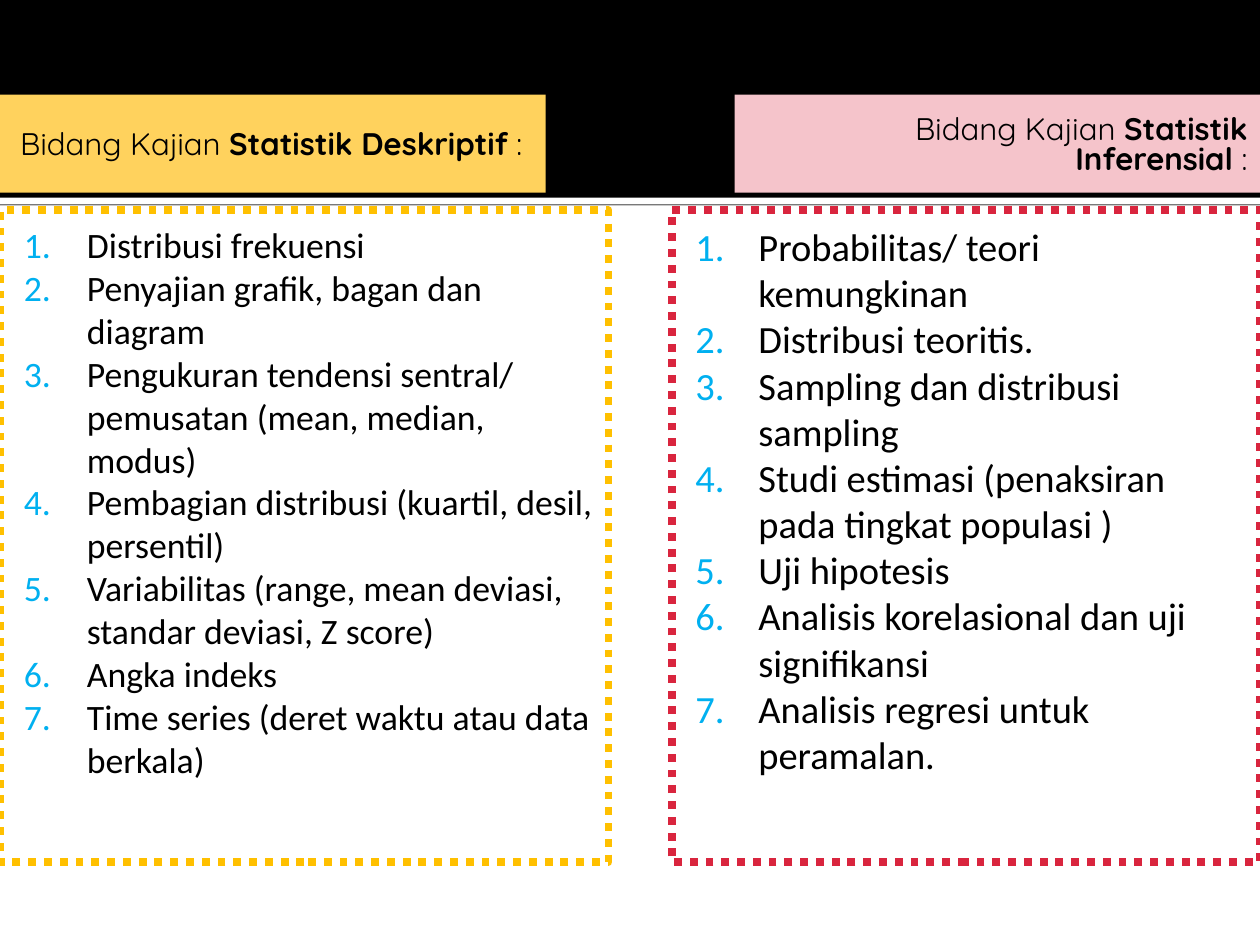
from pptx import Presentation
from pptx.dml.color import RGBColor
from pptx.enum.dml import MSO_LINE
from pptx.enum.shapes import MSO_SHAPE
from pptx.enum.text import MSO_ANCHOR, MSO_AUTO_SIZE, PP_ALIGN
from pptx.oxml import parse_xml
from pptx.oxml.ns import nsdecls
from pptx.util import Inches, Pt

# Content: one entry per column
COLUMNS = [
    {
        "heading": [("Bidang Kajian ", False), ("Statistik Deskriptif ", True), (":", False)],
        "items": [
            "Distribusi frekuensi",
            "Penyajian grafik, bagan dan diagram",
            "Pengukuran tendensi sentral/ pemusatan (mean, median, modus)",
            "Pembagian distribusi (kuartil, desil, persentil)",
            "Variabilitas (range, mean deviasi, standar deviasi, Z score)",
            "Angka indeks",
            "Time series (deret waktu atau data berkala)",
        ],
        "placeholders": (1, 2), "align": PP_ALIGN.LEFT,
        "heading_span": (0, 4.33), "list_span": (0, 4.83),
        "fill": "FFD25D", "border": "FFC000", "size": 20.4,
    },
    {
        "heading": [("Bidang Kajian ", False), ("Statistik Inferensial ", True), (":", False)],
        "items": [
            "Probabilitas/ teori kemungkinan",
            "Distribusi teoritis.",
            "Sampling dan distribusi sampling",
            "Studi estimasi (penaksiran pada tingkat populasi )",
            "Uji hipotesis",
            "Analisis korelasional dan uji signifikansi",
            "Analisis regresi untuk peramalan.",
        ],
        "placeholders": (3, 4), "align": PP_ALIGN.RIGHT,
        "heading_span": (5.83, 10), "list_span": (5.33, 10),
        "fill": "F5C4CB", "border": "D9253E", "size": 22,
    },
]
WIDTH, HEIGHT = 10, 7.5
BAND_HEIGHT, STRIP_HEIGHT = 1.57, 0.05
HEADING_ROW = (0.75, 0.78)
LIST_ROW = (1.67, 5.17)


def color(value):
    return RGBColor.from_string(value)


def place(shape, span, row):
    left, right = span
    shape.left, shape.width = Inches(left), Inches(right - left)
    shape.top, shape.height = map(Inches, row)


def set_frame(shape, left_inset, anchor):
    frame = shape.text_frame
    frame.word_wrap = True
    frame.auto_size = MSO_AUTO_SIZE.NONE
    frame.vertical_anchor = anchor
    frame.margin_left, frame.margin_top = Inches(left_inset), Inches(0.1)
    frame.margin_right, frame.margin_bottom = Inches(0.1), Inches(0.05)
    return frame


def add_run(paragraph, text, font, size, bold=False):
    run = paragraph.add_run()
    run.text = text
    run.font.name, run.font.size, run.font.bold = font, Pt(size), bold
    run.font.color.rgb = color("000000")


def number(paragraph):
    props = paragraph._p.get_or_add_pPr()
    props.set("marL", str(Inches(0.63)))
    props.set("indent", str(Inches(-0.5)))
    for xml in (f'<a:buClr {nsdecls("a")}><a:srgbClr val="00B0F0"/></a:buClr>',
                f'<a:buFont {nsdecls("a")} typeface="+mj-lt"/>',
                f'<a:buAutoNum {nsdecls("a")} type="arabicPeriod"/>'):
        props.append(parse_xml(xml))


def add_band(slide, top, height, fill, depth):
    band = slide.shapes.add_shape(MSO_SHAPE.RECTANGLE, 0, Inches(top), Inches(WIDTH), Inches(height))
    band.shadow.inherit = False
    band.fill.solid()
    band.fill.fore_color.rgb = color(fill)
    band.line.fill.background()
    slide.shapes._spTree.insert(depth, band._element)  # behind the placeholders
    return band


def fill_heading(shape, column):
    place(shape, column["heading_span"], HEADING_ROW)
    shape.fill.solid()
    shape.fill.fore_color.rgb = color(column["fill"])
    paragraph = set_frame(shape, 0.16, MSO_ANCHOR.MIDDLE).paragraphs[0]
    paragraph.alignment = column["align"]
    paragraph.line_spacing = 0.8
    paragraph.space_before = Pt(0)
    for text, bold in column["heading"]:
        add_run(paragraph, text, "Quicksand", 17.8, bold)


def fill_list(shape, column):
    place(shape, column["list_span"], LIST_ROW)
    shape.fill.background()
    shape.line.color.rgb = color(column["border"])
    shape.line.width = Pt(4.5)
    shape.line.dash_style = MSO_LINE.ROUND_DOT  # written as sysDot
    frame = set_frame(shape, 0.06, MSO_ANCHOR.TOP)
    for index, item in enumerate(column["items"]):
        paragraph = frame.add_paragraph() if index else frame.paragraphs[0]
        number(paragraph)
        paragraph.space_before = Pt(0)
        add_run(paragraph, item, "Calibri", column["size"])


def main():
    deck = Presentation()
    deck.slide_width, deck.slide_height = Inches(WIDTH), Inches(HEIGHT)
    slide = deck.slides.add_slide(deck.slide_layouts[4])
    title = slide.shapes.title._element
    title.getparent().remove(title)

    # Header band and the white strip with its thin shadow
    strip = add_band(slide, BAND_HEIGHT, STRIP_HEIGHT, "FFFFFF", 2)
    strip._element.spPr.find("{*}effectLst").append(parse_xml(
        f'<a:outerShdw {nsdecls("a")} blurRad="0" dist="{Pt(0.8)}" dir="5400000" rotWithShape="0">'
        '<a:srgbClr val="000000"><a:alpha val="60000"/></a:srgbClr></a:outerShdw>'))
    add_band(slide, 0, BAND_HEIGHT, "000000", 3)

    # Heading and numbered list of each column
    places = {shape.placeholder_format.idx: shape for shape in slide.placeholders}
    for column in COLUMNS:
        heading, listing = (places[idx] for idx in column["placeholders"])
        fill_heading(heading, column)
        fill_list(listing, column)

    deck.save("out.pptx")


if __name__ == "__main__":
    main()
